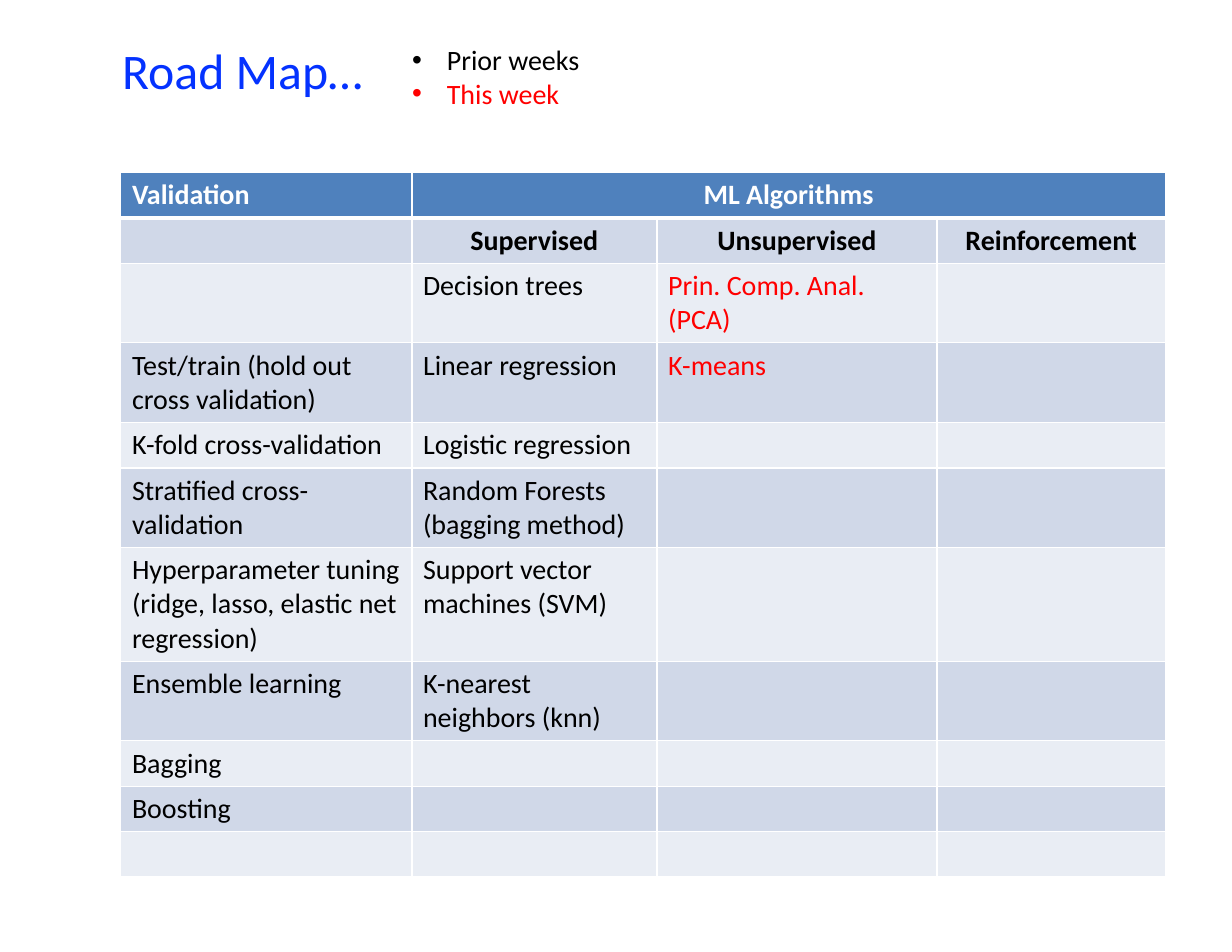
from typing import NamedTuple

from lxml import etree
from pptx import Presentation
from pptx.dml.color import RGBColor
from pptx.enum.text import MSO_ANCHOR, MSO_AUTO_SIZE, PP_ALIGN
from pptx.oxml.ns import qn
from pptx.util import Cm, Pt

LEFT, CENTER = PP_ALIGN.LEFT, PP_ALIGN.CENTER
TOP = MSO_ANCHOR.TOP
NO_AUTOFIT = MSO_AUTO_SIZE.NONE

FONT = "Calibri"
COLORS = {
    "title": "0432FF",
    "prior": "000000",
    "current": "FF0000",
    "white": "FFFFFF",
    "header": "4F81BD",
    "dark band": "D0D8E8",
    "light band": "E9EDF4",
}


class Box(NamedTuple):
    left: float
    top: float
    width: float
    height: float


class Row(NamedTuple):
    validation: str = ""
    supervised: str = ""
    unsupervised: str = ""
    reinforcement: str = ""
    lines: int = 1


TITLE_BOX = Box(2.74, 0.84, 16.81, 1.45)
LEGEND_BOX = Box(9.09, 0.84, 7.19, 1.8)
TABLE_LEFT, TABLE_TOP = 2.74, 3.91
COLUMN_WIDTHS = (6.6, 5.56, 6.35, 5.18)
LINE_HEIGHT, CELL_PADDING = 0.77, 0.25
UNSUPERVISED_COLUMN = 2

ROWS = [
    Row("Validation", "ML Algorithms"),
    Row("", "Supervised", "Unsupervised", "Reinforcement"),
    Row("", "Decision trees", "Prin. Comp. Anal. (PCA)", lines=2),
    Row("Test/train (hold out cross validation)", "Linear regression", "K-means", lines=2),
    Row("K-fold cross-validation", "Logistic regression"),
    Row("Stratified cross-validation", "Random Forests (bagging method)", lines=2),
    Row("Hyperparameter tuning (ridge, lasso, elastic net regression)",
        "Support vector machines (SVM)", lines=3),
    Row("Ensemble learning", "K-nearest neighbors (knn)", lines=2),
    Row("Bagging"),
    Row("Boosting"),
    Row(),
]


def write_text(paragraph, text: str, *, size: float = 18, color: str = "prior",
               bold: bool = False, align=LEFT, before: float = 0):
    paragraph.alignment = align
    paragraph.space_before = Pt(before)
    run = paragraph.add_run()
    run.text = text
    run.font.name = FONT
    run.font.size = Pt(size)
    run.font.bold = bold
    run.font.color.rgb = RGBColor.from_string(COLORS[color])
    return run


def place(shape, box: Box) -> None:
    shape.left, shape.top, shape.width, shape.height = (Cm(value) for value in box)
    shape.text_frame.word_wrap = True
    shape.text_frame.auto_size = NO_AUTOFIT
    shape.text_frame.vertical_anchor = TOP


def set_borders(cell, top: float, bottom: float) -> None:
    properties = cell._tc.get_or_add_tcPr()
    for side, width in (("L", 1), ("R", 1), ("T", top), ("B", bottom)):
        line = etree.SubElement(properties, qn(f"a:ln{side}"), w=str(Pt(width)))
        fill = etree.SubElement(line, qn("a:solidFill"))
        etree.SubElement(fill, qn("a:srgbClr"), val=COLORS["white"])


def fill_cell(cell, text: str, row: int, column: int) -> None:
    # The line under the header row is thicker
    set_borders(cell, top=3 if row == 1 else 1, bottom=3 if row == 0 else 1)
    band = "header" if row == 0 else ("dark band" if row % 2 else "light band")
    cell.fill.solid()
    cell.fill.fore_color.rgb = RGBColor.from_string(COLORS[band])
    if not text:
        return
    heading = row < 2
    if row == 0:
        color = "white"
    else:
        color = "current" if column == UNSUPERVISED_COLUMN and not heading else "prior"
    write_text(cell.text_frame.paragraphs[0], text, color=color, bold=heading,
               align=CENTER if heading and column else LEFT)


def add_road_map(slide) -> None:
    heights = [row.lines * LINE_HEIGHT + CELL_PADDING for row in ROWS]
    table = slide.shapes.add_table(
        len(ROWS), len(COLUMN_WIDTHS), Cm(TABLE_LEFT), Cm(TABLE_TOP),
        Cm(sum(COLUMN_WIDTHS)), Cm(sum(heights))).table
    for column, width in zip(table.columns, COLUMN_WIDTHS):
        column.width = Cm(width)
    for index, (row, height) in enumerate(zip(ROWS, heights)):
        table.rows[index].height = Cm(height)
        for column, text in enumerate(row[:len(COLUMN_WIDTHS)]):
            fill_cell(table.cell(index, column), text, index, column)
    table.cell(0, 1).merge(table.cell(0, len(COLUMN_WIDTHS) - 1))


def add_legend(shape) -> None:
    place(shape, LEGEND_BOX)
    frame = shape.text_frame
    for index, (text, color) in enumerate((("Prior weeks", "prior"), ("This week", "current"))):
        paragraph = frame.add_paragraph() if index else frame.paragraphs[0]
        write_text(paragraph, text, color=color)
        properties = paragraph._p.get_or_add_pPr()
        properties.set("marL", str(Cm(0.79)))
        properties.set("indent", str(-Cm(0.79)))
        etree.SubElement(properties, qn("a:buFont"), typeface="Arial")
        etree.SubElement(properties, qn("a:buChar"), char="•")


presentation = Presentation()
presentation.slide_width, presentation.slide_height = Cm(27.94), Cm(21.59)
slide = presentation.slides.add_slide(presentation.slide_layouts[1])

# Title
title = slide.shapes.title
place(title, TITLE_BOX)
title_frame = title.text_frame
title_frame.margin_left = Cm(0.03)
title_frame.margin_top = Cm(0.05)
title_frame.margin_right = title_frame.margin_bottom = 0
write_text(title_frame.paragraphs[0], "Road Map…", size=32, color="title", before=1.4)

# Table and legend
add_road_map(slide)
add_legend(slide.placeholders[1])

presentation.save("out.pptx")
